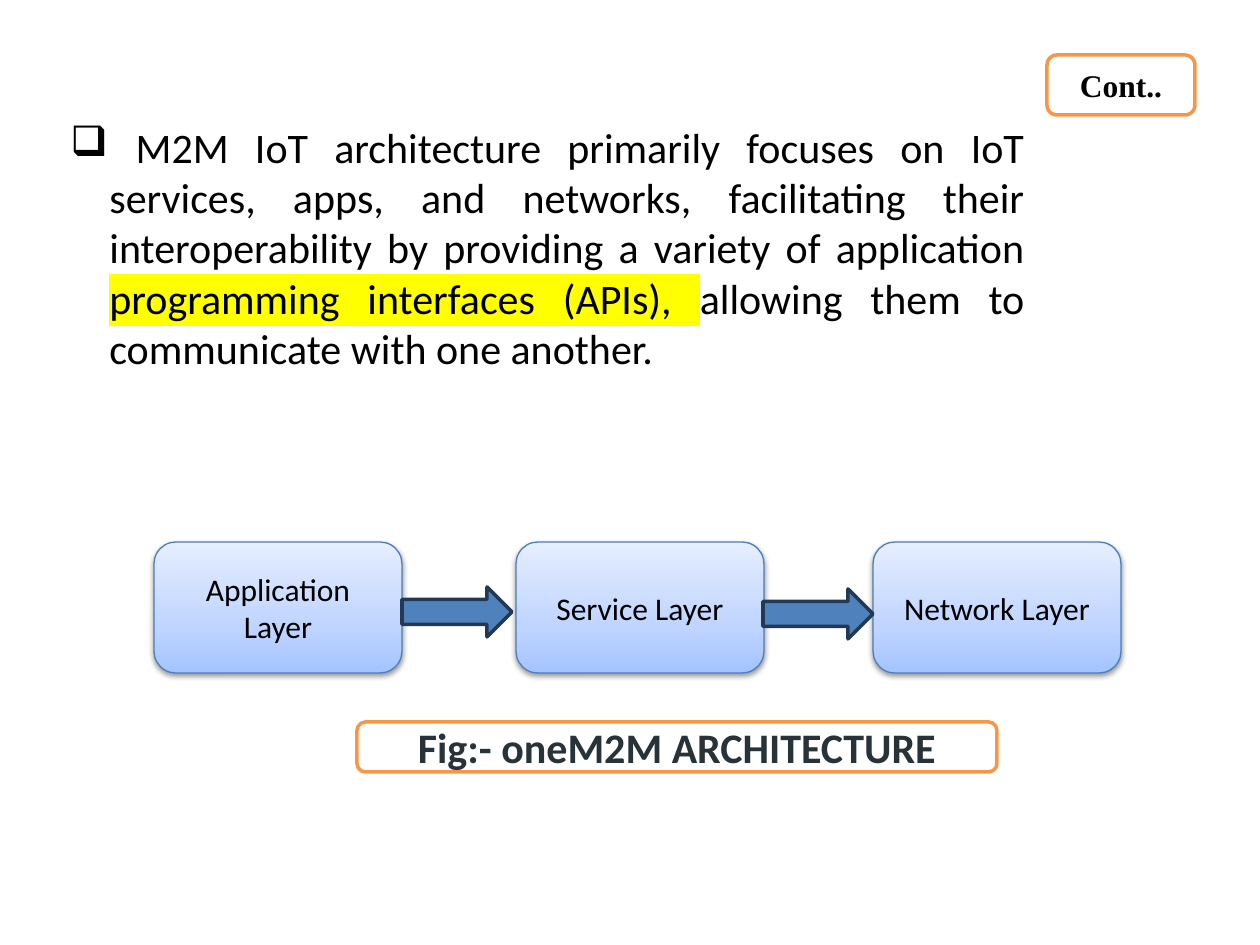
from dataclasses import dataclass

from lxml.etree import SubElement
from pptx import Presentation
from pptx.dml.color import RGBColor
from pptx.enum.shapes import MSO_SHAPE
from pptx.enum.text import MSO_ANCHOR, MSO_AUTO_SIZE, PP_ALIGN
from pptx.oxml.ns import qn
from pptx.util import Pt

EMU_PER_PX = 914400 / 126


@dataclass(frozen=True)
class Theme:
    body_font: str = "Calibri"
    label_font: str = "Times New Roman"
    large: int = 24
    medium: int = 18
    text: str = "000000"
    caption: str = "273239"
    paper: str = "FFFFFF"
    accent: str = "F79646"
    highlight: str = "FFFF00"
    layer_line: str = "4B7EBC"
    layer_stops: tuple = ((0, "A4C4FF"), (35, "BFD4FF"), (100, "E6EEFF"))
    arrow: str = "4F81BD"
    arrow_line: str = "233953"


THEME = Theme()


def px(*lengths):
    return [round(length * EMU_PER_PX) for length in lengths]


def add_text(paragraph, text, *, size=THEME.medium, font=THEME.body_font,
             color=THEME.text, bold=False, highlight=None):
    run = paragraph.add_run()
    run.text = text
    run.font.size = Pt(size)
    run.font.name = font
    run.font.bold = bold
    run.font.color.rgb = RGBColor.from_string(color)
    if highlight:
        properties = run.font._element
        mark = SubElement(properties, qn("a:highlight"))
        SubElement(mark, qn("a:srgbClr"), val=highlight)
        properties.find(qn("a:solidFill")).addnext(mark)


def add_block(slide, kind, box, line, line_width, fill=None):
    shape = slide.shapes.add_shape(kind, *px(*box))
    shape.shadow.inherit = False
    if fill:
        shape.fill.solid()
        shape.fill.fore_color.rgb = RGBColor.from_string(fill)
    shape.line.color.rgb = RGBColor.from_string(line)
    shape.line.width = Pt(line_width)
    return shape


def add_label(shape, text, **text_format):
    frame = shape.text_frame
    frame.word_wrap = True
    frame.vertical_anchor = MSO_ANCHOR.MIDDLE
    paragraph = frame.paragraphs[0]
    paragraph.alignment = PP_ALIGN.CENTER
    add_text(paragraph, text, **text_format)


def add_framed_label(slide, box, text, **text_format):
    shape = add_block(slide, MSO_SHAPE.ROUNDED_RECTANGLE, box,
                      THEME.accent, 2, THEME.paper)
    add_label(shape, text, **text_format)


def add_layer(slide, box, text):
    shape = add_block(slide, MSO_SHAPE.ROUNDED_RECTANGLE, box,
                      THEME.layer_line, 0.75)
    # Three-stop gradient running upwards
    shape.fill.gradient()
    shape.fill.gradient_angle = 90
    properties = shape._element.spPr
    stops = properties.find(f"{qn('a:gradFill')}/{qn('a:gsLst')}")
    stops.clear()
    for position, color in THEME.layer_stops:
        stop = SubElement(stops, qn("a:gs"), pos=str(position * 1000))
        SubElement(stop, qn("a:srgbClr"), val=color)
    # Soft shadow below
    shadow = SubElement(properties.find(qn("a:effectLst")), qn("a:outerShdw"),
                        blurRad="40000", dist="20000", dir="5400000",
                        rotWithShape="0")
    shade = SubElement(shadow, qn("a:srgbClr"), val="000000")
    SubElement(shade, qn("a:alpha"), val="38000")
    add_label(shape, text)


def add_bullet_text(slide, box, parts):
    text_box = slide.shapes.add_textbox(*px(*box))
    frame = text_box.text_frame
    frame.word_wrap = True
    frame.auto_size = MSO_AUTO_SIZE.SHAPE_TO_FIT_TEXT
    paragraph = frame.paragraphs[0]
    paragraph.alignment = PP_ALIGN.JUSTIFY
    properties = paragraph._p.get_or_add_pPr()
    indent = px(39)[0]
    properties.set("marL", str(indent))
    properties.set("indent", str(-indent))
    SubElement(properties, qn("a:buChar"), char="❑")
    for text, highlight in parts:
        add_text(paragraph, text, size=THEME.large, highlight=highlight)


def main():
    presentation = Presentation()
    presentation.slide_width, presentation.slide_height = px(1260, 945)
    slide = presentation.slides.add_slide(presentation.slide_layouts[6])

    # Continuation label and description
    add_framed_label(slide, (1047, 55, 148, 60), "Cont..",
                     font=THEME.label_font, bold=True)
    add_bullet_text(slide, (58, 115, 979, 267), (
        (" M2M IoT architecture primarily focuses on IoT services, apps, and "
         "networks, facilitating their interoperability by providing a "
         "variety of application ", None),
        ("programming interfaces (APIs), ", THEME.highlight),
        ("allowing them to communicate with one another.", None),
    ))

    # Layers from left to right
    layers = ((154, "Application Layer"), (516, "Service Layer"),
              (873, "Network Layer"))
    for left, text in layers:
        add_layer(slide, (left, 542, 248, 131), text)

    # Arrows between the layers
    for left, top in ((402, 587), (763, 589)):
        add_block(slide, MSO_SHAPE.RIGHT_ARROW, (left, top, 110, 50),
                  THEME.arrow_line, 2, THEME.arrow)

    # Figure caption
    add_framed_label(slide, (357, 722, 640, 50), "Fig:- oneM2M ARCHITECTURE",
                     size=THEME.large, color=THEME.caption, bold=True)

    presentation.save("out.pptx")


if __name__ == "__main__":
    main()
